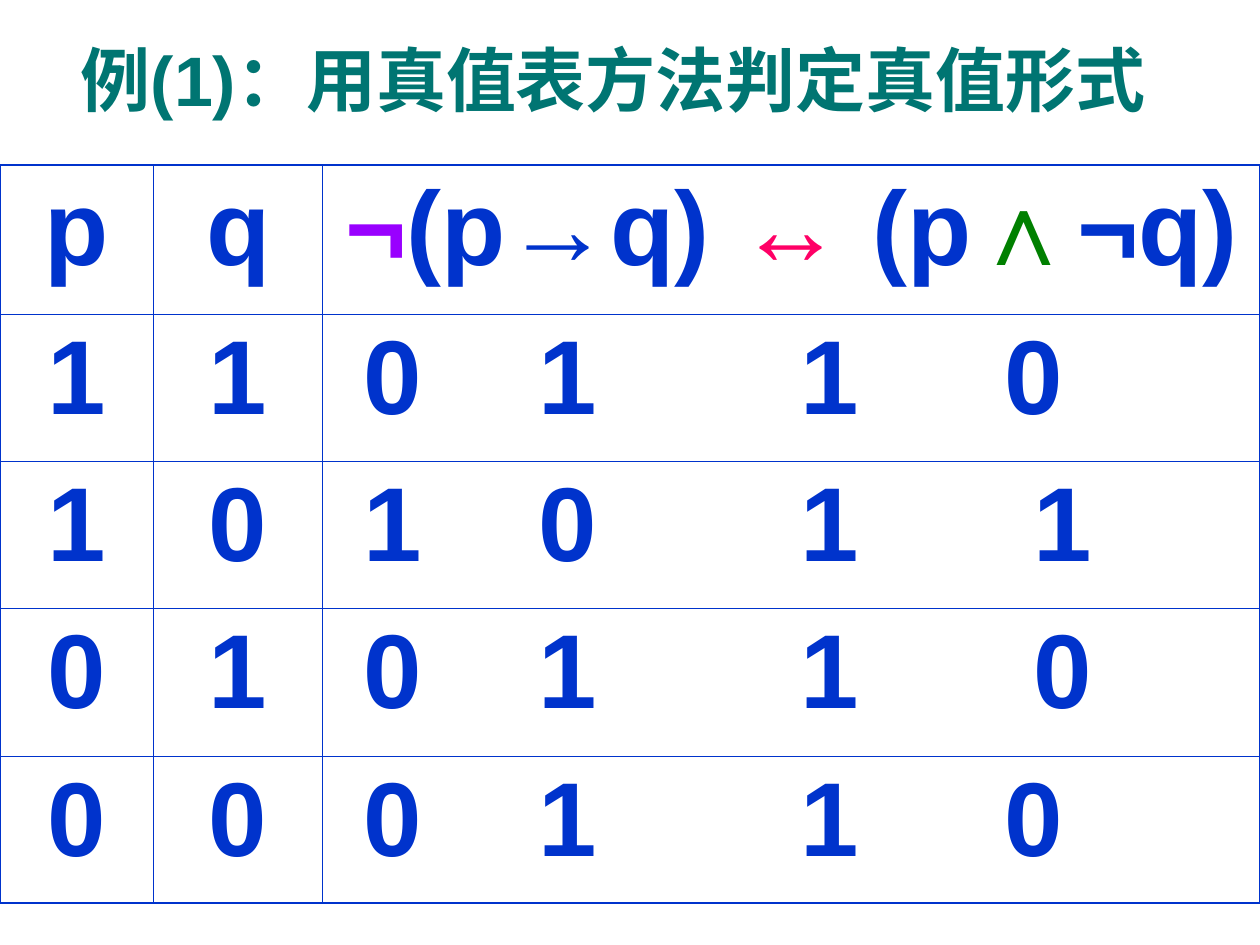
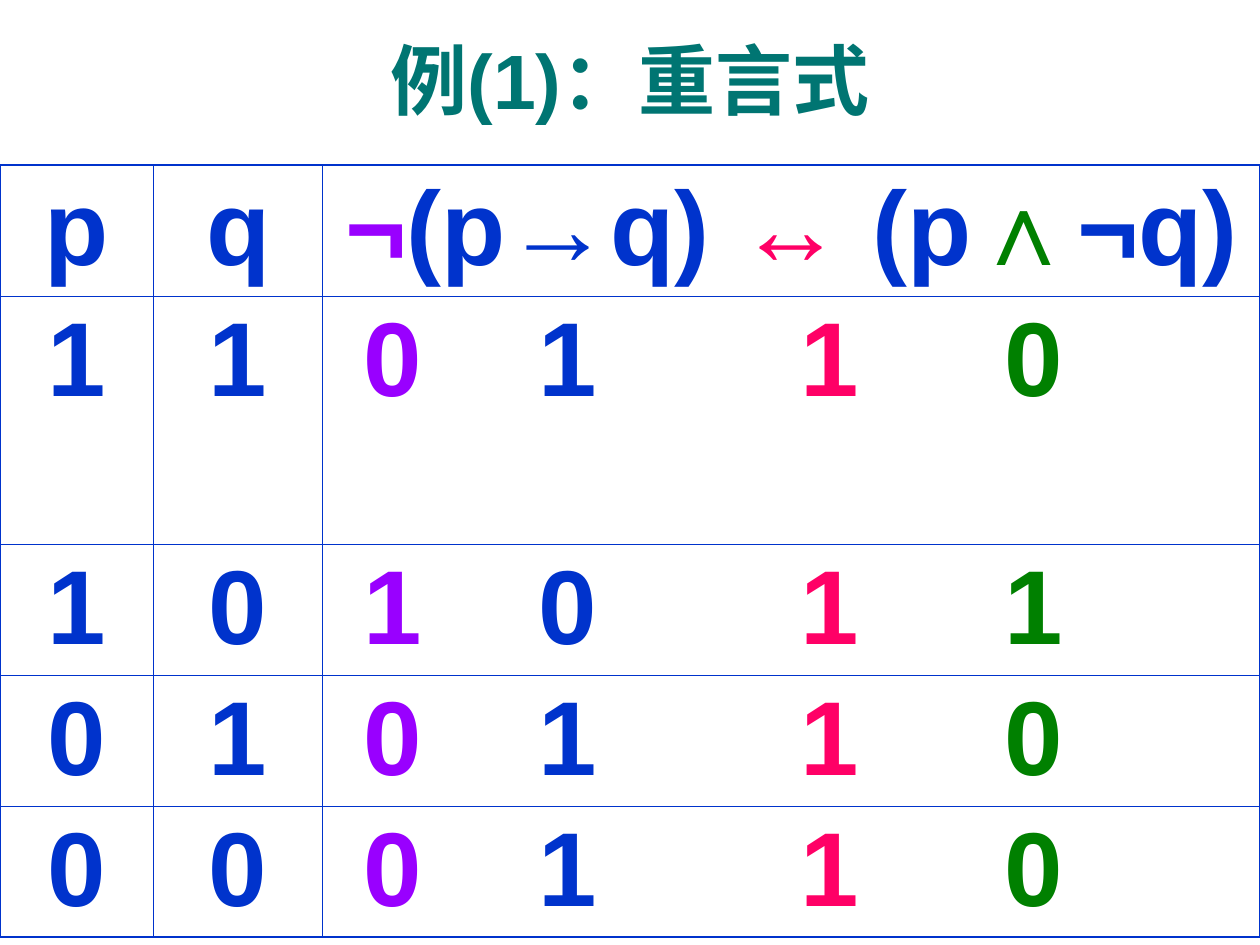
from dataclasses import dataclass
from itertools import product

from lxml import etree
from pptx import Presentation
from pptx.dml.color import RGBColor
from pptx.enum import text
from pptx.oxml import ns
from pptx.util import Cm, Pt


@dataclass(frozen=True)
class Theme:
    """Colours, type sizes, line widths and cell margins shared by the slides."""

    font: str = "Arial"
    title: str = "007572"
    ink: str = "0033CC"
    negation: str = "9900FF"
    equivalence: str = "FF0066"
    conjunction: str = "008000"
    table_size: int = 60
    outer_line: float = 1.08
    inner_line: float = 0.45
    cell_top: float = 0.1
    cell_bottom: float = 0


THEME = Theme()
COLUMNS = (3.1, 3.4, 18.9)
OPERATOR_STOPS = (0.57, 4.1, 9.38, 13.5)
SHIFTED_STOPS = OPERATOR_STOPS[:3] + (14.08,)
OPERATOR_COLORS = (THEME.negation, THEME.ink, THEME.equivalence, THEME.conjunction)
FORMULA = (
    ("¬", THEME.negation),
    ("(p→q) ", THEME.ink),
    ("↔", THEME.equivalence),
    (" (p", THEME.ink),
    ("∧", THEME.conjunction),
    ("¬q)", THEME.ink),
)


def apply(target, values):
    """Set each attribute named in values on the target."""
    for name, value in values.items():
        setattr(target, name, value)


def add_runs(p, runs, size, align=text.PP_ALIGN.CENTER):
    """Write (text, colour) pairs as bold runs of one paragraph."""
    p.alignment = align
    for content, color in runs:
        r = p.add_run()
        r.text = content
        apply(r.font, {"name": THEME.font, "size": Pt(size), "bold": True})
        r.font.color.rgb = RGBColor.from_string(color)


def add_stops(p, stops):
    """Give a paragraph left tab stops at the given centimetres."""
    tabs = etree.SubElement(p._p.get_or_add_pPr(), ns.qn("a:tabLst"))
    for stop in stops:
        etree.SubElement(tabs, ns.qn("a:tab"), pos=str(Cm(stop)), algn="l")


def add_borders(cell, widths):
    """Draw the cell's sides, widths being keyed by L, R, T and B."""
    tc_pr = cell._tc.get_or_add_tcPr()
    for side, width in widths.items():
        line = etree.SubElement(tc_pr, ns.qn(f"a:ln{side}"), w=str(Pt(width)))
        fill = etree.SubElement(line, ns.qn("a:solidFill"))
        etree.SubElement(fill, ns.qn("a:srgbClr"), val=THEME.ink)


def add_title(slide, box, content, size):
    """Place the centred slide title in its box."""
    tf = slide.shapes.add_textbox(*map(Cm, box)).text_frame
    apply(tf, {"word_wrap": True, "vertical_anchor": text.MSO_ANCHOR.MIDDLE})
    add_runs(tf.paragraphs[0], [(content, THEME.title)], size)


def add_truth_table(slide, left, top, heights, colors, shift_mixed):
    """Draw the truth table, working out each row from p and q."""
    box = map(Cm, (left, top, sum(COLUMNS), sum(heights)))
    table = slide.shapes.add_table(len(heights), len(COLUMNS), *box).table
    apply(table, {"first_row": False, "horz_banding": False})
    for column, width in zip(table.columns, COLUMNS):
        column.width = Cm(width)
    for row, height in zip(table.rows, heights):
        row.height = Cm(height)

    last_row, last_column = len(heights) - 1, len(COLUMNS) - 1
    margins = {"margin_top": Cm(THEME.cell_top), "margin_bottom": Cm(THEME.cell_bottom)}
    for i, row in enumerate(table.rows):
        for j, cell in enumerate(row.cells):
            edges = {"L": j == 0, "R": j == last_column, "T": i == 0, "B": i == last_row}
            add_borders(cell, {side: THEME.outer_line if outer else THEME.inner_line
                               for side, outer in edges.items()})
            cell.fill.background()
            apply(cell, margins)

    def paragraph(i, j):
        """Return the only paragraph of a cell."""
        return table.cell(i, j).text_frame.paragraphs[0]

    for j, name in enumerate("pq"):
        add_runs(paragraph(0, j), [(name, THEME.ink)], THEME.table_size)
    add_runs(paragraph(0, 2), FORMULA, THEME.table_size)

    for i, (p, q) in enumerate(product((1, 0), repeat=2), start=1):
        for j, value in enumerate((p, q)):
            add_runs(paragraph(i, j), [(str(value), THEME.ink)], THEME.table_size)
        implies = int(not p or q)
        negated, both = 1 - implies, int(p and not q)
        values = (negated, implies, int(negated == both), both)
        add_stops(paragraph(i, 2), SHIFTED_STOPS if shift_mixed and p != q else OPERATOR_STOPS)
        runs = [(f"\t{value}", color) for value, color in zip(values, colors)]
        add_runs(paragraph(i, 2), runs, THEME.table_size, text.PP_ALIGN.LEFT)


def add_example(prs, title, title_size, title_width, heights, colors, shift_mixed=False):
    """Add one slide with a title above a truth table."""
    slide = prs.slides.add_slide(prs.slide_layouts[6])
    add_title(slide, (0.5, 0, title_width, 3.18), title, title_size)
    add_truth_table(slide, 0, 3.33, heights, colors, shift_mixed)


def main():
    """Build and save the presentation."""
    prs = Presentation()
    apply(prs, {"slide_width": Cm(25.4), "slide_height": Cm(19.05)})
    add_example(prs, "例(1)：用真值表方法判定真值形式", 40, 23.72,
                (3,) + (2.97,) * 4, (THEME.ink,) * 4, shift_mixed=True)
    add_example(prs, "例(1)：重言式", 44, 24.41,
                (2.63, 5) + (2.63,) * 3, OPERATOR_COLORS)
    prs.save("out.pptx")


if __name__ == "__main__":
    main()
